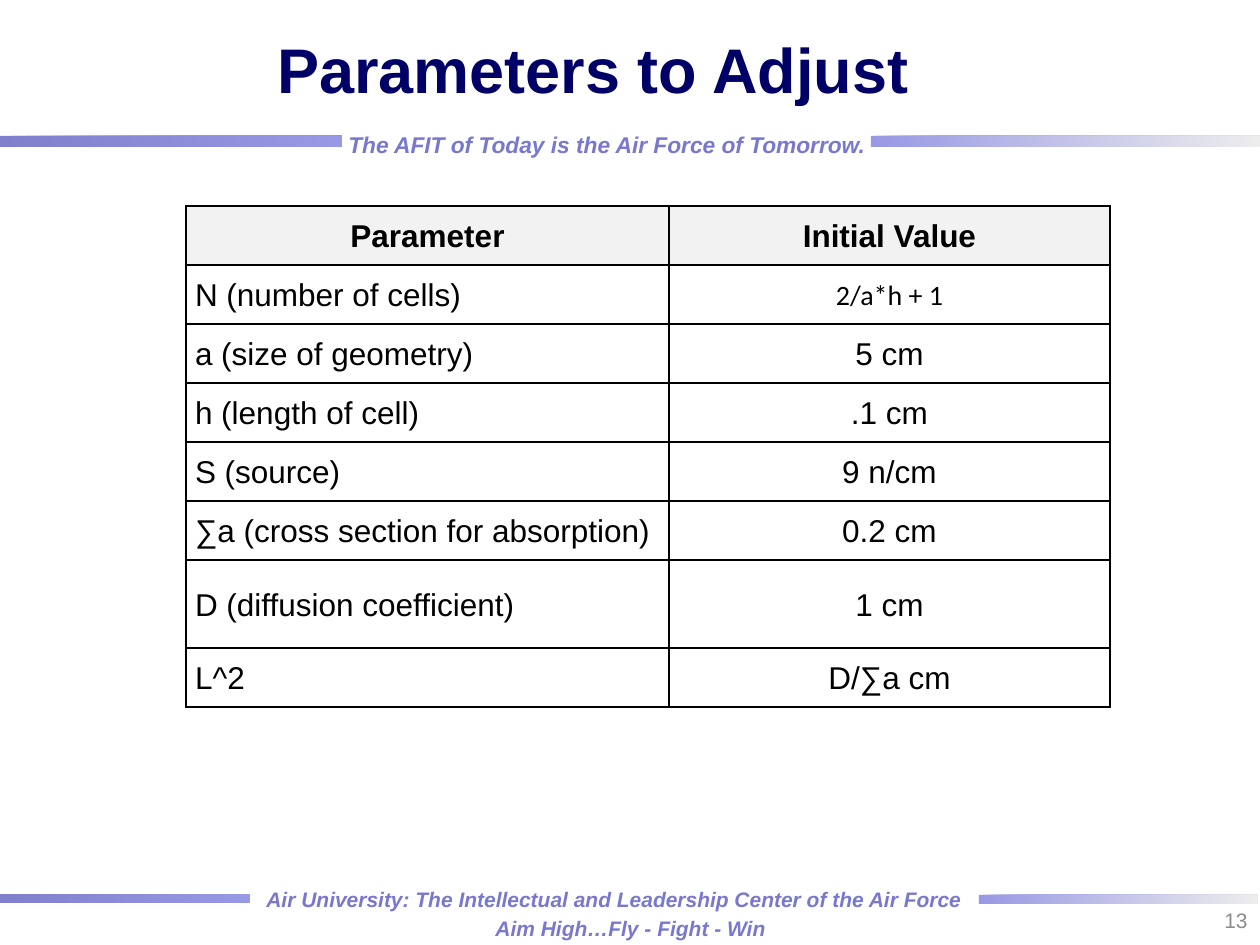
from lxml import etree
from pptx import Presentation
from pptx import util as u
from pptx.dml.color import RGBColor
from pptx.enum import shapes, text
from pptx.oxml.ns import qn

PX = 914400 / 126
LEFT, CENTER, RIGHT = text.PP_ALIGN.LEFT, text.PP_ALIGN.CENTER, text.PP_ALIGN.RIGHT

NAVY, LAVENDER, GRAY, BLACK = "000066", "7878CE", "8C8C8C", "000000"
DEEP_TO_BLUE = ("000099", "3333CC")
BLUE_TO_SILVER = ("3333CC", "DDDDDD")

BARS = [
    ((0, 894, 250, 9), DEEP_TO_BLUE),
    ((979, 895, 279, 9), BLUE_TO_SILVER),
    ((871, 136, 389, 11), BLUE_TO_SILVER),
    ((0, 136, 342, 11), DEEP_TO_BLUE),
]
MOTTOS = [
    ("Air University: The Intellectual and Leadership Center of the Air Force",
     (254, 880, 726, 37), 12),
    ("Aim High…Fly - Fight - Win", (483, 909, 297, 37), 12),
    ("The AFIT of Today is the Air Force of Tomorrow.", (336, 125, 548, 39), 13),
]
TITLE = ("Parameters to Adjust", (136, 0, 914, 136))
PAGE_NUMBER = ("13", (966, 895, 294, 50))

PARAMETERS = [
    ("Parameter", "Initial Value"),
    ("N (number of cells)", "2/a*h + 1"),
    ("a (size of geometry)", "5 cm"),
    ("h (length of cell)", ".1 cm"),
    ("S (source)", "9 n/cm"),
    ("∑a (cross section for absorption)", "0.2 cm"),
    ("D (diffusion coefficient)", "1 cm"),
    ("L^2", "D/∑a cm"),
]
FORMULA = "2/a*h + 1"
COLUMN_WIDTHS = (483, 441)
ROW_HEIGHTS = [88 if name.startswith("D ") else 59 for name, _ in PARAMETERS]
TABLE_CORNER = (186, 206)


def px(value):
    return u.Emu(round(value * PX))


def color(value):
    return RGBColor.from_string(value)


def write(frame, words, size, ink, align=LEFT, bold=False, italic=False, face="Arial"):
    frame.text = words
    paragraph = frame.paragraphs[0]
    paragraph.alignment = align
    font = paragraph.runs[0].font
    font.name, font.size, font.bold, font.italic = face, u.Pt(size), bold, italic
    font.color.rgb = color(ink)
    return paragraph


def add_bar(slide, place, gradient):
    bar = slide.shapes.add_shape(shapes.MSO_SHAPE.RECTANGLE, *map(px, place))
    bar.shadow.inherit = False
    bar.line.fill.background()
    bar.fill.gradient()
    bar.fill.gradient_angle = 0
    for stop, shade in zip(bar.fill.gradient_stops, gradient):
        stop.color.rgb = color(shade)
    for shade in bar._element.spPr.iter(qn("a:srgbClr")):
        etree.SubElement(shade, qn("a:alpha"), val="50000")


def add_label(slide, words, place, size, ink, wrap=True, anchor=text.MSO_ANCHOR.MIDDLE, **style):
    frame = slide.shapes.add_textbox(*map(px, place)).text_frame
    frame.word_wrap = wrap
    frame.vertical_anchor = anchor
    write(frame, words, size, ink, **style)


def add_borders(cell):
    properties = cell._tc.get_or_add_tcPr()
    for index, side in enumerate(("lnL", "lnR", "lnT", "lnB")):
        border = etree.Element(qn(f"a:{side}"), w=str(u.Pt(1)))
        fill = etree.SubElement(border, qn("a:solidFill"))
        etree.SubElement(fill, qn("a:srgbClr"), val=BLACK)
        properties.insert(index, border)


def add_parameters(slide):
    size = (sum(COLUMN_WIDTHS), sum(ROW_HEIGHTS))
    table = slide.shapes.add_table(
        len(PARAMETERS), len(COLUMN_WIDTHS), *map(px, TABLE_CORNER + size)).table
    for column, width in zip(table.columns, COLUMN_WIDTHS):
        column.width = px(width)
    for r, (values, height) in enumerate(zip(PARAMETERS, ROW_HEIGHTS)):
        table.rows[r].height = px(height)
        header = r == 0
        for c, value in enumerate(values):
            cell = table.cell(r, c)
            cell.margin_left = cell.margin_right = px(9)
            cell.margin_top = cell.margin_bottom = 0
            cell.vertical_anchor = text.MSO_ANCHOR.MIDDLE
            cell.fill.solid()
            cell.fill.fore_color.rgb = color("F2F2F2" if header else "FFFFFF")
            size, face = (16, "Calibri") if value == FORMULA else (18, "Arial")
            paragraph = write(cell.text_frame, value, size, BLACK,
                              CENTER if header or c else LEFT, bold=header, face=face)
            paragraph.line_spacing = 1.07
            add_borders(cell)


def main():
    deck = Presentation()
    deck.slide_width, deck.slide_height = px(1260), px(945)
    slide = deck.slides.add_slide(deck.slide_layouts[6])
    for place, gradient in BARS:
        add_bar(slide, place, gradient)
    for words, place, size in MOTTOS:
        add_label(slide, words, place, size, LAVENDER, wrap=False,
                  anchor=text.MSO_ANCHOR.TOP, bold=True, italic=True)
    add_label(slide, *TITLE, 36, NAVY, align=CENTER, bold=True)
    add_label(slide, *PAGE_NUMBER, 12, GRAY, align=RIGHT)
    add_parameters(slide)
    deck.save("out.pptx")


if __name__ == "__main__":
    main()
